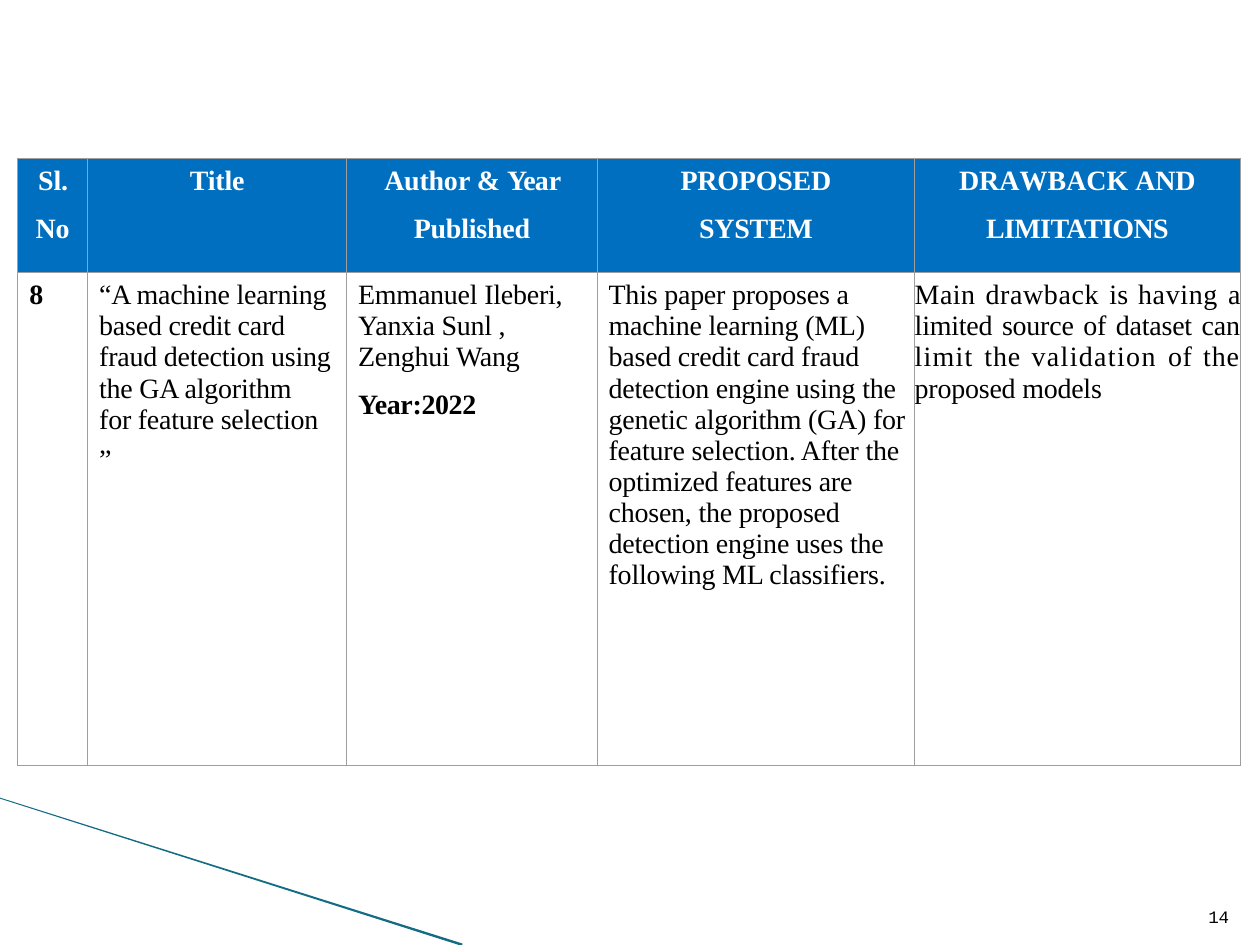
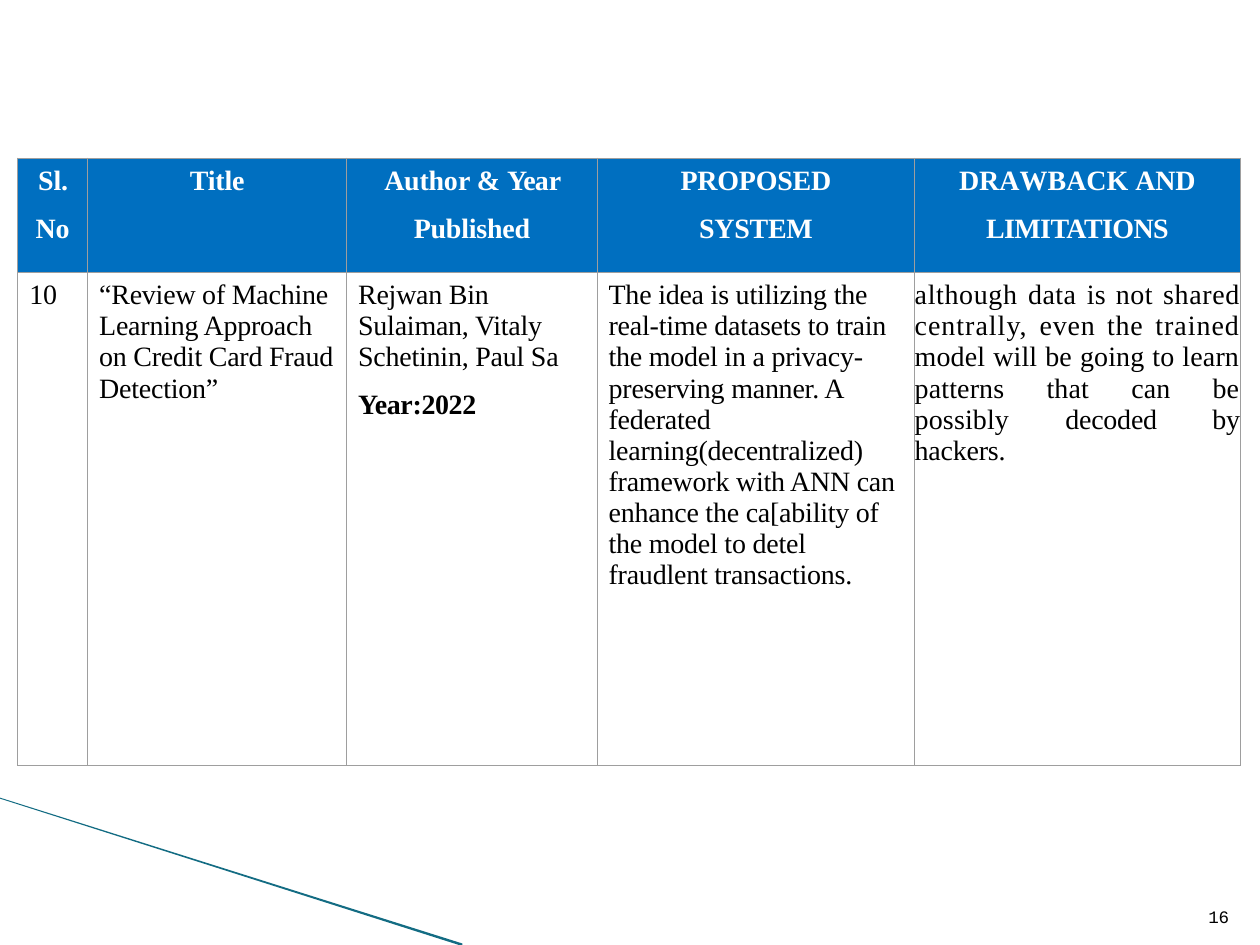
from dataclasses import dataclass, field

from lxml.etree import SubElement
from pptx import Presentation
from pptx.dml.color import RGBColor as RGB
from pptx.enum.text import MSO_ANCHOR as ANCHOR, PP_ALIGN as ALIGN
from pptx.oxml import parse_xml
from pptx.oxml.ns import nsdecls, qn
from pptx.util import Cm, Pt


@dataclass(frozen=True)
class Theme:
    header: RGB = RGB(0x00, 0x6F, 0xC0)
    header_text: RGB = RGB(0xFF, 0xFF, 0xFF)
    text: RGB = RGB(0x00, 0x00, 0x00)
    band: RGB = RGB(0x13, 0x6C, 0x83)
    border: str = "9E9E9E"
    border_width: float = 0.75
    table_font: str = "Times New Roman"
    table_size: float = 16
    page_font: str = "Courier New"
    page_size: float = 10


@dataclass
class Para:
    runs: list
    indent: float = 0
    before: float = 0
    align: ALIGN = ALIGN.LEFT
    bold: bool = False


@dataclass
class Deck:
    prs: object
    theme: Theme = field(default_factory=Theme)
    s: object = None

    def new_slide(self):
        self.s = self.prs.slides.add_slide(self.prs.slide_layouts[6])

    def layout_band(self, points):
        start, *rest = [(Cm(x), Cm(y)) for x, y in points]
        fb = self.s.shapes.build_freeform(*start)
        fb.add_line_segments(rest, close=True)
        sp = fb.convert_to_shape()
        sp.shadow.inherit = False
        sp.fill.solid()
        sp.fill.fore_color.rgb = self.theme.band
        sp.line.fill.background()
        self.s.slide_layout.shapes.element.append(sp.element)

    def add_paras(self, tf, paras, font):
        for i, para in enumerate(paras):
            p = tf.add_paragraph() if i else tf.paragraphs[0]
            p.alignment = para.align
            p.space_before = Pt(para.before if i else 0)
            if para.indent:
                p._p.get_or_add_pPr().set("marL", str(Cm(para.indent)))
            for text, spacing in para.runs:
                for n, line in enumerate(text.split("\n")):
                    if n:
                        p.add_line_break()
                    r = p.add_run()
                    r.text = line
                    self.style(r, spacing, {**font, "bold": para.bold})

    def style(self, r, spacing, values):
        color = values.pop("color")
        for name, value in values.items():
            setattr(r.font, name, value)
        r.font.color.rgb = color
        r._r.get_or_add_rPr().set("spc", str(round(spacing * 100)))

    def borders(self, cell):
        tcPr = cell._tc.get_or_add_tcPr()
        for i, side in enumerate("LRTB"):
            ln = parse_xml(f'<a:ln{side} {nsdecls("a")} w="{Pt(self.theme.border_width)}"/>')
            fill = SubElement(ln, qn("a:solidFill"))
            SubElement(fill, qn("a:srgbClr"), val=self.theme.border)
            tcPr.insert(i, ln)

    def table(self, left, top, widths, heights, rows):
        t = self.theme
        tbl = self.s.shapes.add_table(len(rows), len(widths), Cm(left), Cm(top),
                                      Cm(sum(widths)), Cm(sum(heights))).table
        for col, width in zip(tbl.columns, widths):
            col.width = Cm(width)
        margins = {"margin_left": 0, "margin_right": 0,
                   "margin_top": Cm(0.15), "margin_bottom": 0}
        for i, (row, height) in enumerate(zip(rows, heights)):
            tbl.rows[i].height = Cm(height)
            font = {"name": t.table_font, "size": Pt(t.table_size),
                    "color": t.text if i else t.header_text}
            for j, paras in enumerate(row):
                cell = tbl.cell(i, j)
                for name, value in margins.items():
                    setattr(cell, name, value)
                if i:
                    cell.fill.background()
                else:
                    cell.fill.solid()
                    cell.fill.fore_color.rgb = t.header
                self.borders(cell)
                self.add_paras(cell.text_frame, paras, font)

    def page_number(self, number):
        t = self.theme
        tf = self.s.shapes.add_textbox(Cm(24.26), Cm(18.19), Cm(0.66), Cm(0.6)).text_frame
        values = {"word_wrap": True, "vertical_anchor": ANCHOR.TOP, "margin_left": 0,
                  "margin_right": 0, "margin_top": Cm(0.08), "margin_bottom": 0}
        for name, value in values.items():
            setattr(tf, name, value)
        font = {"name": t.page_font, "size": Pt(t.page_size), "color": t.text}
        self.add_paras(tf, [Para([(str(number), -0.1)], indent=0.1)], font)


LINE_GAP = 9.6
BODY_INDENT = 0.23
BAND = [(9.32, 19.05), (9.25, 19.05), (0, 16.1), (0, 16.08), (9.32, 19.02)]
COLUMNS = [1.41, 5.22, 5.05, 6.4, 6.56]
ROWS = [2.3, 9.95]


def head(*lines, indents=(0, 0), align=ALIGN.CENTER):
    return [Para(runs, indent, LINE_GAP, align, True) for runs, indent in zip(lines, indents)]


def body(text, spacing=-0.1, before=LINE_GAP, bold=False):
    return Para([(text, spacing)], BODY_INDENT, before, bold=bold)


def justified(*runs):
    return [Para(list(runs), align=ALIGN.JUSTIFY)]


HEADER = [
    head([("Sl.", -0.1)], [("No", -0.1)], indents=(0.41, 0.36), align=ALIGN.LEFT),
    head([("Title", -0.1)]),
    head([("Autho", -0.1), ("r & ", 0), ("Yea", -0.5), ("r", 0)], [("Published", -0.1)],
         indents=(0.03, 0)),
    head([("PROPOSED", -0.1)], [("SYSTEM", -0.1)]),
    head([("DR", -0.1), ("A", -1.8), ("W", 0.1), ("BACK ", 0), ("AN", -0.1), ("D", 0)],
         [("LIMITATIONS", -0.3)]),
]
YEAR = body("Year:2022", -0.2, bold=True)

PAPERS = {
    14: [
        [body("8", 0, bold=True)],
        [body("“A machine learning\nbased credit card\nfraud detection using\n"
              "the GA algorithm\nfor feature selection"),
         body("”", 0, before=5.3)],
        [body("Emmanuel Ileberi,\nYanxia Sunl ,\nZenghui Wang"), YEAR],
        [body("This paper proposes a\nmachine learning (ML)\nbased credit card fraud\n"
              "detection engine using the\ngenetic algorithm (GA) for\n"
              "feature selection. After the\noptimized features are\nchosen, the proposed\n"
              "detection engine uses the\nfollowing ML classifiers.")],
        justified(("Main ", 0.3), ("drawback ", 0.4), ("is ", 0.2), ("having ", 0.4),
                  ("a limited source of dataset can ", -0.1), ("limit ", 0.7), ("the ", 0.5),
                  ("validation ", 0.8), ("of ", 0.4), ("the ", 0.6), ("proposed models", -0.1)),
    ],
    16: [
        [body("10")],
        [body("“Review of Machine\nLearning Approach\non Credit Card Fraud\nDetection”")],
        [body("Rejwan Bin\nSulaiman, Vitaly\nSchetinin, Paul Sa"), YEAR],
        [body("The idea is utilizing the\nreal-time datasets to train\nthe model in a privacy-\n"
              "preserving manner. A\nfederated\nlearning(decentralized)\n"
              "framework with ANN can\nenhance the ca[ability of\nthe model to detel\n"
              "fraudlent transactions.")],
        justified(("although ", 0.4), ("data ", 0.3), ("is ", 0.2), ("not ", 0.3),
                  ("shared ", 0.4), ("centrally, ", 0.6), ("even the ", 0.5), ("trained ", 0.6),
                  ("model will be going to learn patterns that can be\npossibly ", 0.1),
                  ("decoded by\nhackers.", -0.1)),
    ],
}


def main():
    prs = Presentation()
    prs.slide_width, prs.slide_height = Cm(25.4), Cm(19.05)
    deck = Deck(prs)
    for i, (number, paper) in enumerate(PAPERS.items()):
        deck.new_slide()
        if i == 0:
            deck.layout_band(BAND)
        deck.table(0.36, 3.19, COLUMNS, ROWS, [HEADER, paper])
        deck.page_number(number)
    prs.save("out.pptx")


if __name__ == "__main__":
    main()
